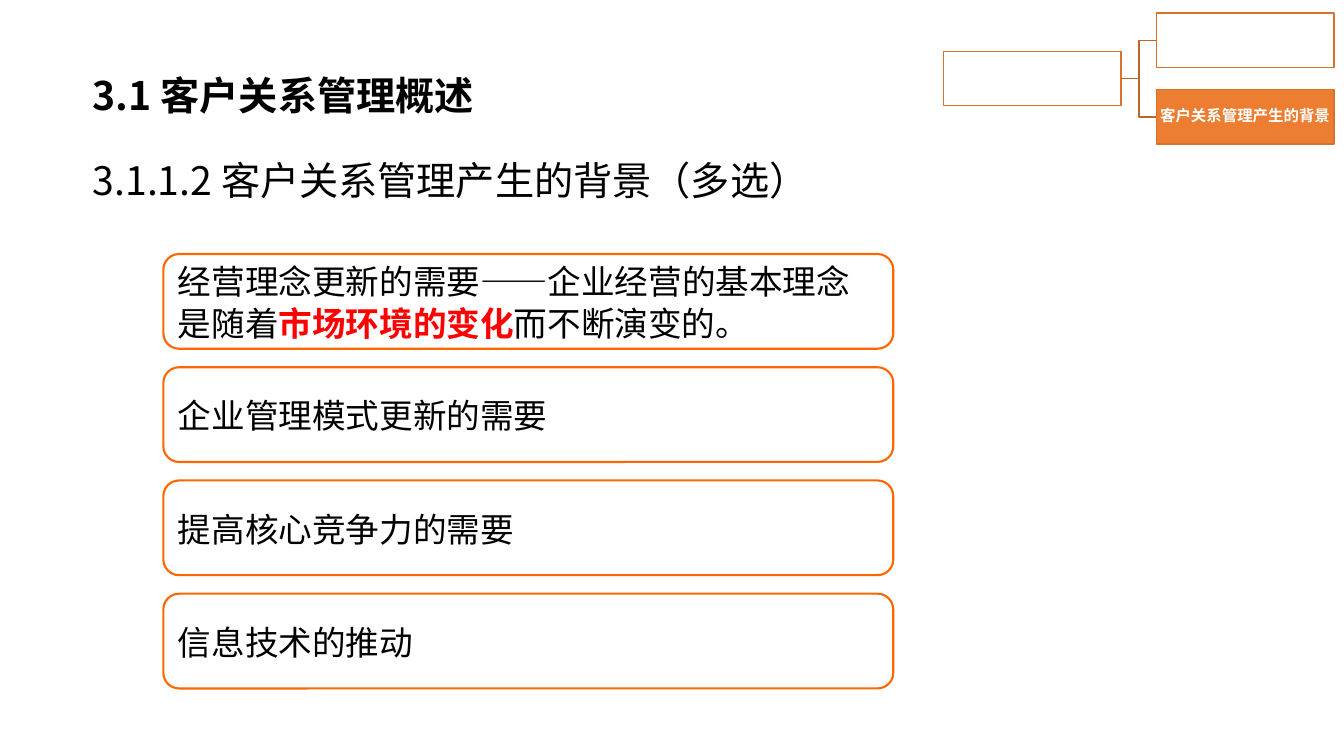
import pptx
import pptx.util
import pptx.dml.color
import pptx.enum.shapes
import pptx.enum.text
import pptx.oxml
import pptx.oxml.ns

Inches = pptx.util.Inches
Pt = pptx.util.Pt
Anchor = pptx.enum.text.MSO_ANCHOR
Align = pptx.enum.text.PP_ALIGN
AutoSize = pptx.enum.text.MSO_AUTO_SIZE
ShapeType = pptx.enum.shapes.MSO_SHAPE

SANS_SC = "Noto Sans CJK SC"
SANS_JP = "Noto Sans CJK JP"
BLACK, WHITE, RED = "000000", "FFFFFF", "FF0000"
ORANGE, CARD_LINE = "ED7D31", "FF6600"
TREE_LINE, BRANCH_LINE = "D7712C", "BE6427"

# Reasons: each one is a list of (text, highlighted) parts
REASONS = [
    [("经营理念更新的需要——企业经营的基本理念是随着", False),
     ("市场环境的变化", True),
     ("而不断演变的。", False)],
    [("企业管理模式更新的需要", False)],
    [("提高核心竞争力的需要", False)],
    [("信息技术的推动", False)],
]
FIRST_CARD_TOP, LAST_CARD_TOP = 2.52, 5.89


def rgb(color):
    return pptx.dml.color.RGBColor.from_string(color)


def apply_format(target, values):
    for name, value in values.items():
        setattr(target, name, value)


def add_run(paragraph, text, color, **font_format):
    run = paragraph.add_run()
    run.text = text
    apply_format(run.font, font_format)
    run.font.color.rgb = rgb(color)
    # East Asian glyphs take their own typeface element
    typeface = pptx.oxml.parse_xml(
        f'<a:ea {pptx.oxml.ns.nsdecls("a")} typeface="{font_format["name"]}"/>')
    run.font._element.find(pptx.oxml.ns.qn("a:latin")).addnext(typeface)


def format_frame(shape, anchor, side=0.1, edge=0.05, auto_size=AutoSize.NONE):
    apply_format(shape.text_frame, {
        "word_wrap": True, "auto_size": auto_size, "vertical_anchor": anchor,
        "margin_left": Inches(side), "margin_right": Inches(side),
        "margin_top": Inches(edge), "margin_bottom": Inches(edge)})
    return shape.text_frame.paragraphs[0]


def add_box(slide, kind, left, top, width, height, line, weight, fill=None):
    shape = slide.shapes.add_shape(
        kind, Inches(left), Inches(top), Inches(width), Inches(height))
    shape.shadow.inherit = False
    if fill:
        shape.fill.solid()
        shape.fill.fore_color.rgb = rgb(fill)
    else:
        shape.fill.background()
    shape.line.color.rgb = rgb(line)
    shape.line.width = Pt(weight)
    return shape


def format_heading(shape, text, box, anchor, auto_size, bold, line_spacing):
    left, top, width, height = box
    apply_format(shape, {"left": Inches(left), "top": Inches(top),
                         "width": Inches(width), "height": Inches(height)})
    paragraph = format_frame(shape, anchor, 0.12, 0.06, auto_size)
    apply_format(paragraph, {"alignment": Align.LEFT,
                             "line_spacing": line_spacing})
    add_run(paragraph, text, BLACK, name=SANS_SC, size=Pt(28), bold=bold)


def add_reason(slide, top, parts):
    card = add_box(slide, ShapeType.ROUNDED_RECTANGLE, 1.62, top, 7.24, 0.94,
                   CARD_LINE, 1.5)
    paragraph = format_frame(card, Anchor.MIDDLE)
    apply_format(paragraph, {"alignment": Align.LEFT, "line_spacing": Pt(30)})
    for text, highlighted in parts:
        add_run(paragraph, text, RED if highlighted else BLACK,
                name=SANS_JP, size=Pt(24), bold=highlighted)


def add_tree_node(slide, left, top, fill):
    return add_box(slide, ShapeType.RECTANGLE, left, top, 1.76, 0.54,
                   TREE_LINE, 1, fill)


def add_branch(slide, parent, child):
    branch = slide.shapes.add_connector(
        pptx.enum.shapes.MSO_CONNECTOR.ELBOW, 0, 0, 0, 0)
    branch.begin_connect(parent, 3)
    branch.end_connect(child, 1)
    branch.line.color.rgb = rgb(BRANCH_LINE)
    branch.line.width = Pt(1)
    branch._element.spPr.append(pptx.oxml.parse_xml(
        f'<a:effectLst {pptx.oxml.ns.nsdecls("a")}/>'))


def add_topic_tree(slide):
    root = add_tree_node(slide, 9.36, 0.51, WHITE)
    other = add_tree_node(slide, 11.47, 0.13, WHITE)
    current = add_tree_node(slide, 11.47, 0.89, ORANGE)
    for child in (other, current):
        add_branch(slide, root, child)
    paragraph = format_frame(current, Anchor.MIDDLE, 0.01, 0.01)
    apply_format(paragraph, {"alignment": Align.CENTER, "line_spacing": 0.9})
    add_run(paragraph, "客户关系管理产生的背景", WHITE,
            name=SANS_SC, size=Pt(11), bold=True)


def main():
    presentation = pptx.Presentation()
    presentation.slide_width = Inches(13.33)
    presentation.slide_height = Inches(7.5)
    slide = presentation.slides.add_slide(presentation.slide_layouts[5])

    # Headings
    format_heading(slide.shapes.title, "3.1 客户关系管理概述",
                   (0.8, 0.65, 11.45, 0.59), Anchor.TOP,
                   AutoSize.SHAPE_TO_FIT_TEXT, True, 1.0)
    subheading = slide.shapes.add_textbox(0, 0, 0, 0)
    format_heading(subheading, "3.1.1.2 客户关系管理产生的背景（多选）",
                   (0.8, 1.15, 12.16, 1.04), Anchor.MIDDLE,
                   AutoSize.NONE, False, 1.5)

    # Reason cards at an equal pitch
    pitch = (LAST_CARD_TOP - FIRST_CARD_TOP) / (len(REASONS) - 1)
    for index, parts in enumerate(REASONS):
        add_reason(slide, FIRST_CARD_TOP + index * pitch, parts)

    # Topic tree in the corner
    add_topic_tree(slide)

    presentation.save("out.pptx")


if __name__ == "__main__":
    main()
